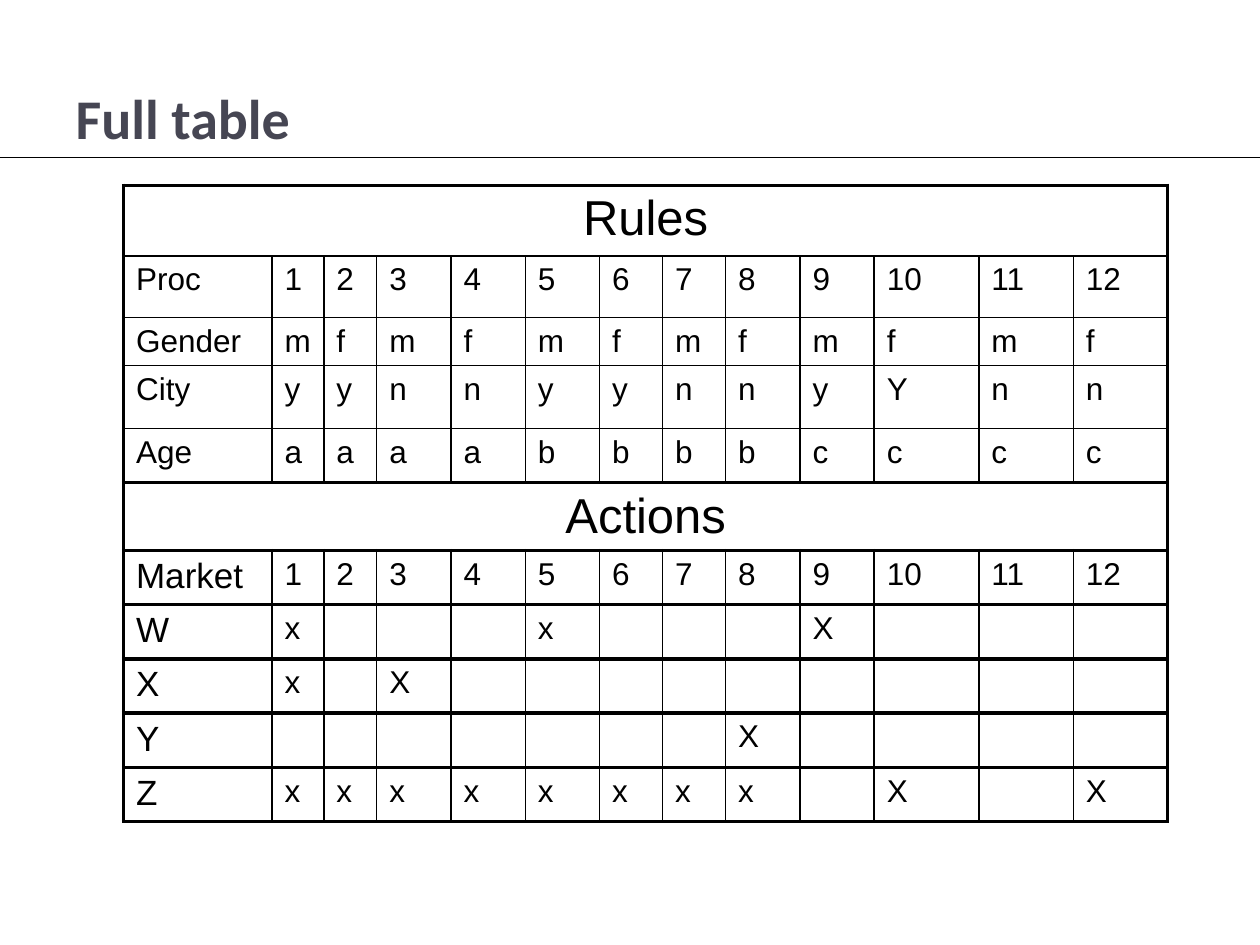
"""Build a slide with a full decision table of rules and actions."""
from lxml import etree
from pptx import Presentation
from pptx.dml.color import RGBColor
from pptx.enum.shapes import MSO_CONNECTOR
from pptx.enum.text import MSO_ANCHOR, PP_ALIGN
from pptx.oxml.ns import qn
from pptx.util import Inches, Pt

LEFT, CENTER = PP_ALIGN.LEFT, PP_ALIGN.CENTER
BOTTOM = MSO_ANCHOR.BOTTOM
STRAIGHT = MSO_CONNECTOR.STRAIGHT
THIN, HEAVY = 1, 2.25
COLUMN_WIDTHS = [1.18, 0.41, 0.42, 0.59, 0.59, 0.59, 0.5, 0.5, 0.59, 0.59, 0.83, 0.75, 0.75]
ROW_HEIGHTS = [0.56, 0.49, 0.38, 0.5, 0.43, 0.54] + [0.43] * 5
NUMBERS = [str(number) for number in range(1, 13)]
ROWS = [
    ["Rules"],
    ["Proc", *NUMBERS],
    ["Gender", *"mfmfmfmfmfmf"],
    ["City", *"yynnyynnyYnn"],
    ["Age", *"aaaabbbbcccc"],
    ["Actions"],
    ["Market", *NUMBERS],
    ["W", *"x   x   X   "],
    ["X", *"x X         "],
    ["Y", *"       X    "],
    ["Z", *"xxxxxxxx X X"],
]
FIRST_ACTION = 5


def write(frame, text, size=18, font="Arial", color="000000", bold=False, align=LEFT):
    """Put one formatted run of text into a text frame."""
    para = frame.paragraphs[0]
    para.alignment = align
    span = para.add_run()
    span.text = text
    span.font.size = Pt(size)
    span.font.name = font
    span.font.bold = bold
    span.font.color.rgb = RGBColor.from_string(color)


def add_borders(cell, **widths):
    """Draw black cell borders with the given widths in points."""
    properties = cell._tc.get_or_add_tcPr()
    for side, width in widths.items():
        line = etree.SubElement(properties, qn(f"a:ln{side}"), w=str(Pt(width)))
        fill = etree.SubElement(line, qn("a:solidFill"))
        etree.SubElement(fill, qn("a:srgbClr"), val="000000")


deck = Presentation()
deck.slide_width, deck.slide_height = Inches(10), Inches(7.5)
page = deck.slides.add_slide(deck.slide_layouts[5])

rule = page.shapes.add_connector(STRAIGHT, 0, Inches(1.25), Inches(10), Inches(1.25))
rule.line.color.rgb = RGBColor.from_string("000000")
rule.line.width = Pt(0.75)
etree.SubElement(rule._element.spPr, qn("a:effectLst"))

title = page.shapes.title
title.left, title.top = Inches(0.5), Inches(0.17)
title.width, title.height = Inches(9), Inches(1.08)
title.text_frame.vertical_anchor = BOTTOM
write(title.text_frame, "Full table", size=32, font="Calibri", color="464653", bold=True)

table = page.shapes.add_table(
    len(ROWS), len(COLUMN_WIDTHS), Inches(0.98), Inches(1.47),
    Inches(sum(COLUMN_WIDTHS)), Inches(sum(ROW_HEIGHTS))).table
table.first_row = table.horz_banding = False
for column, width in zip(table.columns, COLUMN_WIDTHS):
    column.width = Inches(width)
for row, height in zip(table.rows, ROW_HEIGHTS):
    row.height = Inches(height)

last = len(COLUMN_WIDTHS) - 1
for row, texts in enumerate(ROWS):
    banner = len(texts) == 1
    if banner:
        table.cell(row, 0).merge(table.cell(row, last))
    for column in range(last + 1):
        cell = table.cell(row, column)
        add_borders(
            cell,
            L=HEAVY if banner or column == 0 else THIN,
            R=HEAVY if banner or column == last else THIN,
            T=HEAVY if row == 0 or row >= FIRST_ACTION else THIN,
            B=HEAVY if row + 1 >= FIRST_ACTION else THIN)
        cell.fill.background()
    for column, text in enumerate(texts):
        if text.strip():
            label_size = 20 if row > FIRST_ACTION and column == 0 else 18
            write(table.cell(row, column).text_frame, text,
                  size=28 if banner else label_size, align=CENTER if banner else LEFT)

deck.save("out.pptx")
